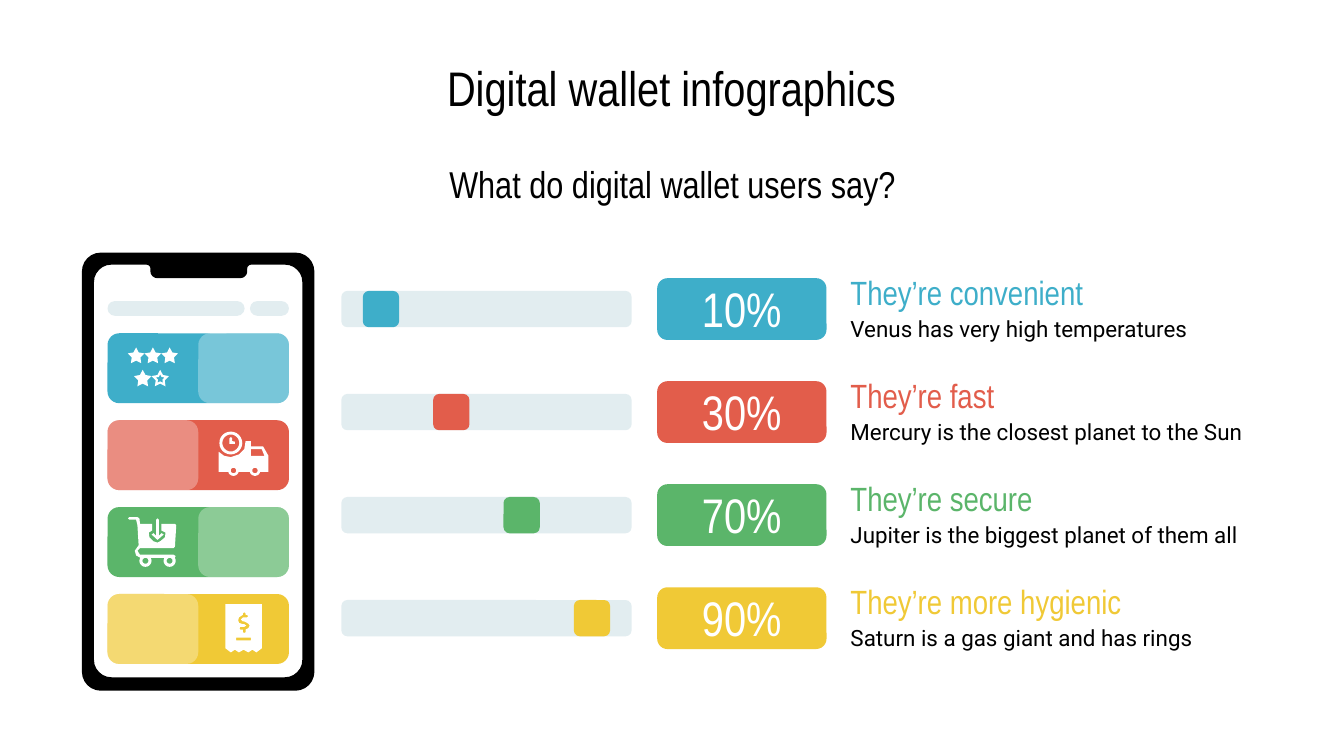
from math import cos, radians, sin

from lxml import etree
from pptx import Presentation
from pptx.dml.color import RGBColor
from pptx.enum.shapes import MSO_SHAPE
from pptx.enum.text import MSO_ANCHOR, PP_ALIGN
from pptx.oxml.ns import qn
from pptx.util import Inches, Pt

ROUNDED = MSO_SHAPE.ROUNDED_RECTANGLE
LEFT, CENTER, MIDDLE = PP_ALIGN.LEFT, PP_ALIGN.CENTER, MSO_ANCHOR.MIDDLE

WIDTH = 10
HEIGHT = WIDTH * 9 / 16
HEADING_FONT, BODY_FONT = "Arial Narrow", "Roboto"
BLACK, WHITE, PALE = "000000", "FFFFFF", "E2EDF0"

TITLE = "Digital wallet infographics"
QUESTION = "What do digital wallet users say?"
REASONS = [
    ("10%", "They’re convenient", "Venus has very high temperatures", "3EAEC9"),
    ("30%", "They’re fast", "Mercury is the closest planet to the Sun", "E25D4B"),
    ("70%", "They’re secure", "Jupiter is the biggest planet of them all", "5BB56A"),
    ("90%", "They’re more hygienic", "Saturn is a gas giant and has rings", "F0C936"),
]


def arc(x, y, radius, start, end):
    """Points along an arc; degrees run clockwise from the right."""
    steps = max(4, abs(end - start) // 15)
    angles = [radians(start + (end - start) * i / steps) for i in range(steps + 1)]
    return [(x + radius * cos(a), y + radius * sin(a)) for a in angles]


def disc(x, y, radius):
    return arc(x, y, radius, 0, 360)


def star(x, y, radius):
    tips = [(radius if i % 2 == 0 else radius * 0.52, radians(36 * i - 90))
            for i in range(10)]
    return [(x + r * cos(a), y + r * sin(a)) for r, a in tips]


# Outlines are in 0.01 inch. Each figure is a list of contours; inner ones are holes.
PHONE = [
    arc(159, 14, 14, -90, 0) + arc(159, 312, 14, 0, 90)
    + arc(14, 312, 14, 90, 180) + arc(14, 14, 14, 180, 270),
    arc(151, 22, 13, -90, 0) + arc(151, 303, 13, 0, 90)
    + arc(22, 303, 13, 90, 180) + arc(22, 22, 13, 180, 270)
    + arc(48, 12, 3, -90, 0) + arc(56, 14, 5, 180, 90)
    + arc(118, 14, 5, 90, 0) + arc(126, 12, 3, 180, 270),
]
STARS = [
    [star(11, 26.5, 6.8), star(24, 26.5, 6.8), star(24, 26.5, 3.4)],
    [star(x, 9.5, 6.5) for x in (6, 18.5, 31)],
]
TRUCK = [
    [[(8, 6), (9, 5), (10, 6), (10, 8), (12, 8.5), (12, 10), (8, 10)]],
    [disc(9, 9.5, 8.5), disc(9, 9.5, 6.3)],
    [
        [(0, 16), (4, 19), (9, 20), (15, 18), (19, 14), (20, 8), (24, 8), (24, 12),
         (33, 12), (37, 19), (37, 31)]
        + arc(27, 30, 4, 15, 165) + arc(11, 30, 4, 15, 165) + [(0, 31)],
        [(24, 14), (32, 14), (34, 19), (24, 19)],
        disc(27, 30, 2), disc(11, 30, 2),
    ],
]
CART = [
    [[(21, 2), (22, 1), (23, 2), (23, 14), (25, 12), (26.5, 13), (22, 17),
      (17.5, 13), (19, 12), (21, 14)]],
    [
        [(1, 0), (7, 0), (8.5, 1), (9, 5), (18, 5), (18, 10), (15.5, 11.5), (16, 15),
         (19, 18), (22, 19), (24, 18), (27.5, 15), (28, 11.5), (25, 10), (25, 5),
         (35, 5), (36, 6), (35, 22), (34, 23), (9, 23), (7, 25), (9, 28), (34, 28),
         (35.5, 29)]
        + arc(31, 32.5, 4.5, -30, 210) + arc(13, 32.5, 4.5, -30, 210)
        + [(6, 28.5), (5, 25), (8, 21), (7, 6), (6, 2), (1, 2), (0, 1)],
        disc(31, 32.5, 2.2), disc(13, 32.5, 2.2),
    ],
]
RECEIPT = [[
    [(5, 0), (32, 0), (32, 33), (28, 36), (25, 34), (22, 36), (18.5, 34), (15, 36),
     (12, 34), (9, 36), (5, 33)],
    [(19, 6), (20, 7), (20, 8), (21, 8), (22, 9), (21, 10), (18, 10), (16.5, 11.5),
     (18, 13), (19, 13), (22, 14.5), (23, 16), (22, 18), (20, 19), (20, 21), (19, 21.5),
     (18, 21), (18, 19), (16, 19), (15.5, 18), (16, 17), (19, 17), (20.5, 16), (19, 15),
     (18, 15), (15, 14), (14.5, 12), (15, 10), (18, 8), (18, 7)],
    [(13, 25), (24, 25), (24, 27), (13, 27)],
]]
ICONS = [STARS, TRUCK, CART, RECEIPT]

CARD_LEFT, CARD_TOP, CARD_WIDTH, CARD_HEIGHT = 0.8, 2.48, 1.35, 0.52
CARD_STEP = (4.42 - CARD_TOP) / 3
ICON_SIZE = 0.37
ROW_TOP = 2.07
ROW_STEP = (4.37 - ROW_TOP) / 3
TRACK_LEFT, TRACK_WIDTH, KNOB = 2.54, 2.16, 0.27
KNOB_LEFT = 2.7
KNOB_STEP = (4.27 - KNOB_LEFT) / 3
BADGE_LEFT, BADGE_WIDTH, BADGE_HEIGHT = 4.89, 1.26, 0.46
TEXT_LEFT, TEXT_WIDTH = 6.23, 3.17

prs = Presentation()
prs.slide_width, prs.slide_height = Inches(WIDTH), Inches(HEIGHT)
slide = prs.slides.add_slide(prs.slide_layouts[6])


def rgb(color):
    return RGBColor.from_string(color)


def paint(shape, color):
    shape.shadow.inherit = False
    shape.fill.solid()
    shape.fill.fore_color.rgb = rgb(color)
    shape.line.fill.background()


def add_block(left, top, width, height, color, rounding=0.167):
    block = slide.shapes.add_shape(
        ROUNDED, Inches(left), Inches(top), Inches(width), Inches(height))
    block.adjustments[0] = rounding
    paint(block, color)
    return block


def add_figure(contours, left, top, color):
    """One freeform; ten builder units make 0.01 inch."""
    placed = [[(left * 1000 + x * 10, top * 1000 + y * 10) for x, y in contour]
              for contour in contours]
    builder = slide.shapes.build_freeform(*placed[0][0], scale=914.4)
    builder.add_line_segments(placed[0][1:])
    for contour in placed[1:]:
        builder.move_to(*contour[0])
        builder.add_line_segments(contour[1:])
    paint(builder.convert_to_shape(), color)


def write(shape, text, size, font, color, align):
    frame = shape.text_frame
    frame.text = text
    frame.word_wrap = True
    frame.vertical_anchor = MIDDLE
    frame.margin_left = frame.margin_right = Inches(0.1)
    frame.margin_top = frame.margin_bottom = Inches(0.1)
    paragraph = frame.paragraphs[0]
    paragraph.alignment = align
    style = paragraph.runs[0].font
    style.size, style.name, style.color.rgb = Pt(size), font, rgb(color)


def add_text(left, top, width, height, *content):
    box = slide.shapes.add_textbox(
        Inches(left), Inches(top), Inches(width), Inches(height))
    write(box, *content)


def draw_card(index, color):
    top = CARD_TOP + index * CARD_STEP
    half = CARD_WIDTH / 2
    icon_half = CARD_LEFT + (index % 2) * half
    pale_half = CARD_LEFT + (1 - index % 2) * half
    add_block(CARD_LEFT, top, CARD_WIDTH, CARD_HEIGHT, color)
    veil = add_block(pale_half, top, half, CARD_HEIGHT, WHITE)
    tint = veil.fill._xPr.find(qn("a:solidFill"))[0]
    etree.SubElement(tint, qn("a:alpha"), val="30000")
    for figure in ICONS[index]:
        add_figure(figure, icon_half + (half - ICON_SIZE) / 2,
                   top + (CARD_HEIGHT - ICON_SIZE) / 2, WHITE)


def draw_reason(index, share, heading, detail, color):
    top = ROW_TOP + index * ROW_STEP
    track_top = top + (BADGE_HEIGHT - KNOB) / 2
    add_block(TRACK_LEFT, track_top, TRACK_WIDTH, KNOB, PALE)
    add_block(KNOB_LEFT + index * KNOB_STEP, track_top, KNOB, KNOB, color)
    add_text(TEXT_LEFT, top - 0.08, TEXT_WIDTH, 0.37, heading, 18, HEADING_FONT, color, LEFT)
    add_text(TEXT_LEFT, top + 0.24, TEXT_WIDTH, 0.27, detail, 12, BODY_FONT, BLACK, LEFT)
    badge = add_block(BADGE_LEFT, top, BADGE_WIDTH, BADGE_HEIGHT, color)
    write(badge, share, 26, HEADING_FONT, WHITE, CENTER)
    badge.text_frame.margin_bottom = Inches(0.11)


add_figure(PHONE, 0.61, 1.88, BLACK)
add_block(0.8, 2.24, 1.02, 0.11, PALE, 0.5)
add_block(1.86, 2.24, 0.29, 0.11, PALE, 0.5)
add_text(0.45, 0.33, 9.1, 0.63, TITLE, 26, HEADING_FONT, BLACK, CENTER)
for index, (share, heading, detail, color) in enumerate(REASONS):
    draw_card(index, color)
    draw_reason(index, share, heading, detail, color)
add_text(2.2, 1.18, 5.61, 0.37, QUESTION, 20, HEADING_FONT, BLACK, CENTER)

prs.save("out.pptx")
